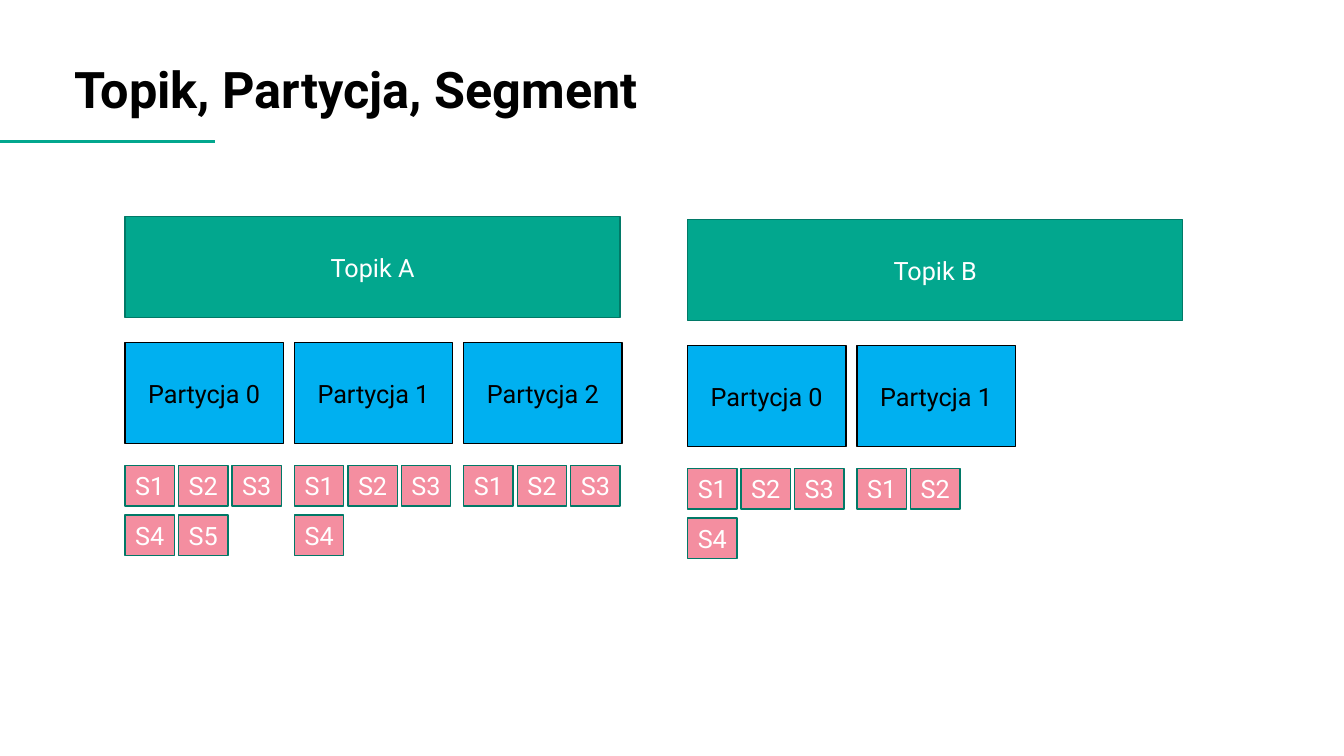
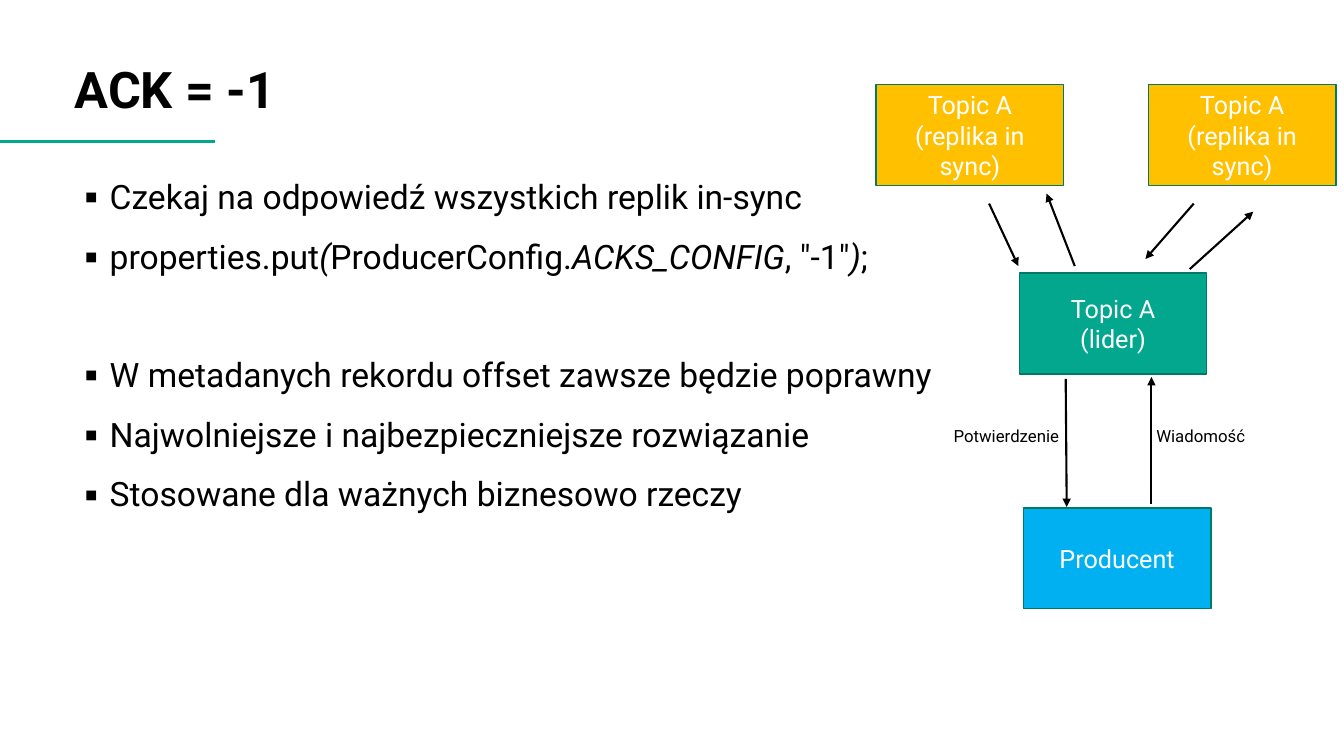
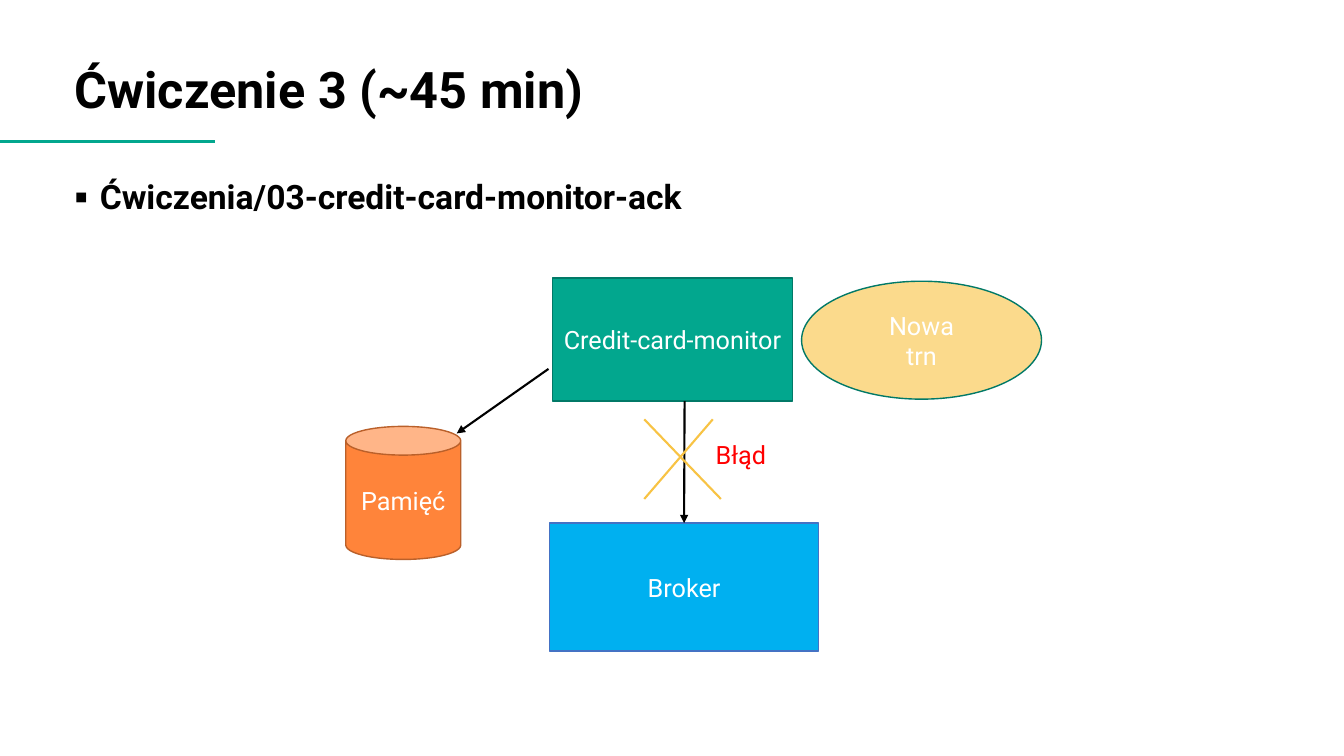
from dataclasses import dataclass

from lxml import etree
from pptx import Presentation
from pptx.dml.color import RGBColor
from pptx.enum.shapes import MSO_CONNECTOR, MSO_SHAPE
from pptx.enum.text import MSO_ANCHOR, PP_ALIGN
from pptx.oxml.ns import qn
from pptx.util import Inches, Pt

RECT, OVAL, CAN = MSO_SHAPE.RECTANGLE, MSO_SHAPE.OVAL, MSO_SHAPE.CAN
STRAIGHT = MSO_CONNECTOR.STRAIGHT
LEFT, CENTER = PP_ALIGN.LEFT, PP_ALIGN.CENTER
TOP, MIDDLE, BOTTOM = MSO_ANCHOR.TOP, MSO_ANCHOR.MIDDLE, MSO_ANCHOR.BOTTOM
SIDE_TOP = 0


@dataclass(frozen=True)
class Theme:
    font: str = "Roboto"
    black: str = "000000"
    white: str = "FFFFFF"
    red: str = "FF0000"
    green: str = "02A78E"
    dark_green: str = "017967"
    blue: str = "00B0F0"
    blue_edge: str = "4472C4"
    pink: str = "F48EA0"
    amber: str = "FFC000"
    sand: str = "FBDA8C"
    cross: str = "F8C344"
    orange: str = "FF843A"
    orange_edge: str = "BA602A"
    title_size: int = 36
    body_size: int = 24
    label_size: int = 18
    note_size: int = 12


T = Theme()

# Content: topics as (name, left, top, number of segments in each partition)
TOPICS = [
    ("Topik A", 1.24, 2.15, [5, 4, 3]),
    ("Topik B", 6.82, 2.18, [4, 2]),
]

# Bullets as (runs, space before); a run is (text, italic)
ACK_BULLETS = [
    ([("Czekaj na odpowiedź wszystkich replik in-sync", False)], 0),
    ([("properties.put", False), ("(", True), ("ProducerConfig.", False),
      ("ACKS_CONFIG", True), (', "-1"', False), (")", True), (";", False)], 8),
    ([("W metadanych rekordu offset zawsze będzie poprawny", False)], 50),
    ([("Najwolniejsze i najbezpieczniejsze rozwiązanie", False)], 8),
    ([("Stosowane dla ważnych biznesowo rzeczy", False)], 8),
]
REPLICA = "Topic A\n(replika in\nsync)"
ACK_NODES = [
    (REPLICA, 8.69, 0.84, T.amber),
    (REPLICA, 11.39, 0.84, T.amber),
    ("Topic A\n(lider)", 10.11, 2.71, T.green),
    ("Producent", 10.15, 5.04, T.blue),
]
ACK_ARROWS = [
    (10.57, 3.76, 10.58, 5.03),
    (11.42, 5.0, 11.42, 3.74),
    (9.81, 2.02, 10.1, 2.64),
    (10.66, 2.64, 10.38, 1.92),
    (11.84, 2.02, 11.36, 2.57),
    (11.8, 2.67, 12.43, 2.1),
]
ACK_NOTES = [("Potwierdzenie", 9.36), ("Wiadomość", 11.37)]

EXERCISE_BULLETS = [([("Ćwiczenia/03-credit-card-monitor-ack", False)], 0)]
ERROR_CROSS = [(6.39, 4.16, 7.15, 4.95), (7.07, 4.16, 6.39, 4.95)]


# Shared drawing helpers
def style_font(font, size, color, bold=False, italic=False):
    font.name, font.size = T.font, Pt(size)
    font.bold, font.italic = bold, italic
    font.color.rgb = RGBColor.from_string(color)


def set_frame(frame, anchor, side_inset=0.1):
    frame.word_wrap = True
    frame.vertical_anchor = anchor
    frame.margin_left = frame.margin_right = Inches(side_inset)


def write(frame, text, size, color, align=LEFT, bold=False):
    frame.text = text
    for paragraph in frame.paragraphs:
        paragraph.alignment = align
        for run in paragraph.runs:
            style_font(run.font, size, color, bold)


def add_label(slide, text, box, size, color, anchor=TOP, side_inset=0.1, bold=False):
    label = slide.shapes.add_textbox(*map(Inches, box))
    set_frame(label.text_frame, anchor, side_inset)
    write(label.text_frame, text, size, color, bold=bold)


def add_node(slide, text, box, fill, edge=T.dark_green, color=T.white, kind=RECT):
    node = slide.shapes.add_shape(kind, *map(Inches, box))
    node.shadow.inherit = False
    node.fill.solid()
    node.fill.fore_color.rgb = RGBColor.from_string(fill)
    node.line.color.rgb = RGBColor.from_string(edge)
    node.line.width = Pt(1)
    set_frame(node.text_frame, MIDDLE)
    write(node.text_frame, text, T.label_size, color, CENTER)
    return node


def add_line(slide, ends, color=T.black, width=1.5, arrow=False):
    line = slide.shapes.add_connector(STRAIGHT, *map(Inches, ends))
    line.line.color.rgb = RGBColor.from_string(color)
    line.line.width = Pt(width)
    if arrow:
        etree.SubElement(line.line._get_or_add_ln(), qn("a:tailEnd"), type="triangle")
    etree.SubElement(line._element.spPr, qn("a:effectLst"))
    return line


def add_bullets(slide, bullets, height, side_inset, bold=False):
    body = slide.shapes.add_textbox(*map(Inches, (0.74, 1.62, 11.84, height)))
    frame = body.text_frame
    set_frame(frame, TOP, side_inset)
    for index, (runs, space_before) in enumerate(bullets):
        paragraph = frame.add_paragraph() if index else frame.paragraphs[0]
        paragraph.line_spacing = 1.2
        paragraph.space_before = Pt(space_before)
        for text, italic in runs:
            run = paragraph.add_run()
            run.text = text
            style_font(run.font, T.body_size, T.black, bold, italic)
        properties = paragraph._p.get_or_add_pPr()
        properties.set("marL", str(Inches(0.25)))
        properties.set("indent", str(-Inches(0.25)))
        bullet_color = etree.SubElement(properties, qn("a:buClr"))
        etree.SubElement(bullet_color, qn("a:srgbClr"), val=T.black)
        etree.SubElement(properties, qn("a:buFont"), typeface=T.font)
        etree.SubElement(properties, qn("a:buChar"), char="▪")


def start_slide(deck, title):
    slide = deck.slides.add_slide(deck.slide_layouts[6])
    add_line(slide, (0, 1.4, 2.13, 1.4), T.green, 2)
    add_label(slide, title, (0.74, 0, 11.84, 1.23), T.title_size, T.black,
              BOTTOM, side_inset=0, bold=True)
    return slide


# Slides
def build_topics(deck):
    slide = start_slide(deck, "Topik, Partycja, Segment")
    partition_step, segment_step, row_step, per_row = 1.68, 0.53, 0.49, 3
    for name, left, top, partitions in TOPICS:
        add_node(slide, name, (left, top, 4.91, 1), T.green)
        for number, segment_count in enumerate(partitions):
            x = left + number * partition_step
            add_node(slide, f"Partycja {number}", (x, top + 1.25, 1.57, 1),
                     T.blue, T.black, T.black)
            for segment in range(segment_count):
                row, column = divmod(segment, per_row)
                box = (x + column * segment_step, top + 2.47 + row * row_step, 0.49, 0.4)
                add_node(slide, f"S{segment + 1}", box, T.pink)


def build_ack(deck):
    slide = start_slide(deck, "ACK = -1")
    add_bullets(slide, ACK_BULLETS, 5.04, 0.1)
    for text, left, top, fill in ACK_NODES:
        add_node(slide, text, (left, top, 1.86, 1), fill)
    for ends in ACK_ARROWS:
        add_line(slide, ends, arrow=True)
    for text, left in ACK_NOTES:
        add_label(slide, text, (left, 4.17, 1.3, 0.3), T.note_size, T.black)


def build_exercise(deck):
    slide = start_slide(deck, "Ćwiczenie 3 (~45 min)")
    add_bullets(slide, EXERCISE_BULLETS, 0.76, 0, bold=True)
    add_node(slide, "Credit-card-monitor", (5.48, 2.76, 2.38, 1.22), T.green)
    add_node(slide, "Nowa\ntrn", (7.95, 2.79, 2.38, 1.17), T.sand, kind=OVAL)
    broker = add_node(slide, "Broker", (5.45, 5.19, 2.67, 1.27), T.blue, T.blue_edge)
    add_node(slide, "Pamięć", (3.43, 4.23, 1.14, 1.32), T.orange, T.orange_edge, kind=CAN)
    failed_send = add_line(slide, (6.79, 3.98, 6.78, 5.19), arrow=True)
    failed_send.end_connect(broker, SIDE_TOP)
    add_line(slide, (5.44, 3.66, 4.53, 4.3), arrow=True)
    for ends in ERROR_CROSS:
        add_line(slide, ends, T.cross)
    add_label(slide, "Błąd", (7, 4.31, 0.97, 0.4), T.label_size, T.red)


def main():
    deck = Presentation()
    deck.slide_width, deck.slide_height = Inches(13.33), Inches(7.5)
    build_topics(deck)
    build_ack(deck)
    build_exercise(deck)
    deck.save("out.pptx")


if __name__ == "__main__":
    main()
